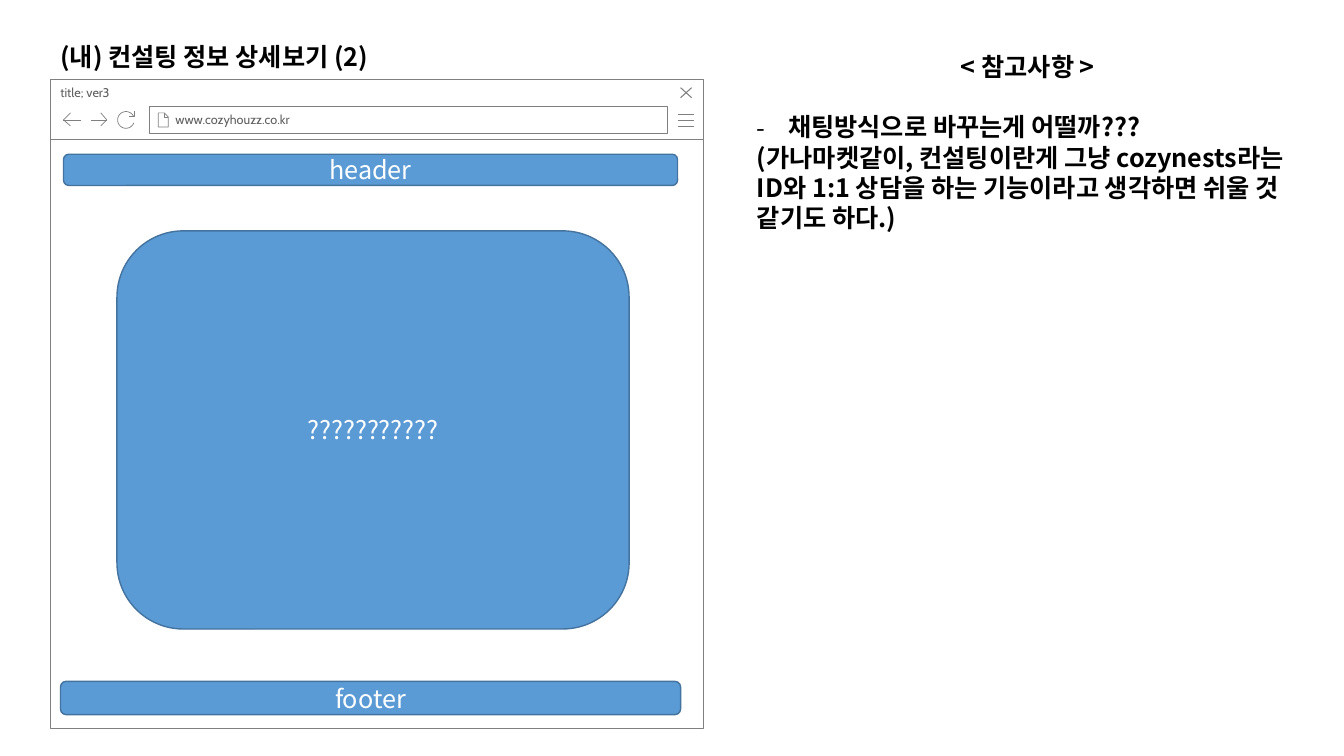
"""Build the consulting detail wireframe slide."""
from dataclasses import dataclass
from math import cos, radians, sin

from lxml.etree import SubElement
from pptx import Presentation
from pptx.dml.color import RGBColor
from pptx.enum.shapes import MSO_SHAPE as Shape
from pptx.enum.text import MSO_ANCHOR as Anchor, PP_ALIGN as Align
from pptx.oxml.ns import qn
from pptx.util import Inches, Pt

Point = tuple[float, float]
Box = tuple[float, float, float, float]


@dataclass(frozen=True)
class Theme:
    """Colours, fonts and type sizes of the slide."""
    ink: str = "000000"
    paper: str = "FFFFFF"
    outline: str = "808080"
    muted: str = "5F5F5F"
    block: str = "5B9BD5"
    block_edge: str = "43739E"
    body_font: str = "Noto Sans CJK KR"
    browser_font: str = "Cabin"
    body_size: float = 18
    browser_size: float = 9
    blank_line: float = 21.6


@dataclass(frozen=True)
class Pane:
    """A white rectangle of the browser window."""
    box: Box
    text: str = ""
    left_inset: float = 0.1
    anchor: Anchor = Anchor.TOP


@dataclass(frozen=True)
class Block:
    """A blue rounded area of the web page."""
    box: Box
    text: str


@dataclass(frozen=True)
class Icon:
    """A line icon made of open strokes."""
    strokes: list[list[Point]]
    weight: float = 0.5


@dataclass(frozen=True)
class Note:
    """A paragraph of bold text."""
    text: str
    align: Align = Align.LEFT
    space_before: float = 0
    bullet: str = ""


THEME = Theme()
ARC = [(1.25 + 0.083 * cos(radians(angle)), 1.19 + 0.083 * sin(radians(angle)))
       for angle in range(20, 333, 8)]

PANES = [
    Pane((0.5, 1.38, 6.48, 5.85)),
    Pane((0.5, 0.79, 6.48, 0.59), "title; ver3"),
    Pane((1.48, 1.06, 5.14, 0.26), "www.cozyhouzz.co.kr", 0.26, Anchor.MIDDLE),
]
MENU = Icon([[(6.72, y), (6.88, y)] for y in (1.13, 1.19, 1.25)])
CLOSE = Icon([[(6.86, 0.87), (6.75, 0.97)], [(6.75, 0.87), (6.86, 0.97)]], 0.75)
PAGE = Icon([[(1.63, 1.12), (1.63, 1.16), (1.67, 1.16)],
             [(1.57, 1.12), (1.57, 1.26), (1.67, 1.26), (1.67, 1.16),
              (1.63, 1.12), (1.57, 1.12)]])
BACK = Icon([[(0.7, 1.25), (0.63, 1.19), (0.7, 1.12)], [(0.63, 1.19), (0.8, 1.19)]])
FORWARD = Icon([[(1, 1.12), (1.06, 1.19), (1, 1.25)], [(1.06, 1.19), (0.9, 1.19)]])
RELOAD = Icon([[(1.33, 1.1), (1.33, 1.15), (1.28, 1.15)], [*ARC, (1.33, 1.15)]])
BLOCKS = [
    Block((0.63, 1.53, 6.09, 0.31), "header"),
    Block((0.6, 6.76, 6.15, 0.33), "footer"),
    Block((1.16, 2.29, 5.08, 3.95), "???????????"),
]
HEADING = [Note("(내) 컨설팅 정보 상세보기 (2)")]
REMARKS = [
    Note("< 참고사항 >", Align.CENTER),
    Note("채팅방식으로 바꾸는게 어떨까???", space_before=THEME.blank_line, bullet="-"),
    Note("(가나마켓같이, 컨설팅이란게 그냥 cozynests라는 ID와 1:1 상담을 하는 "
         "기능이라고 생각하면 쉬울 것 같기도 하다.)"),
]


def colour(value: str) -> RGBColor:
    """Turn a hex value into a colour."""
    return RGBColor.from_string(value)


def add_run(paragraph, text: str, font: str, size: float, ink: str, bold: bool = False) -> None:
    """Add one styled run to a paragraph."""
    run = paragraph.add_run()
    run.text = text
    run.font.size, run.font.bold, run.font.name = Pt(size), bold, font
    run.font.color.rgb = colour(ink)
    SubElement(run.font._element, qn("a:ea"), typeface=font)


def add_area(slide, kind: Shape, box: Box, fill: str, line: str, weight: float):
    """Add a filled and outlined preset shape."""
    shape = slide.shapes.add_shape(kind, *map(Inches, box))
    shape.shadow.inherit = False
    shape.fill.solid()
    shape.fill.fore_color.rgb = colour(fill)
    shape.line.color.rgb = colour(line)
    shape.line.width = Pt(weight)
    return shape


def add_pane(slide, pane: Pane) -> None:
    """Add a browser pane with its label."""
    shape = add_area(slide, Shape.RECTANGLE, pane.box, THEME.paper, THEME.outline, 0.5)
    if pane.text:
        frame = shape.text_frame
        frame.margin_left = Inches(pane.left_inset)
        frame.vertical_anchor = pane.anchor
        paragraph = frame.paragraphs[0]
        paragraph.alignment = Align.LEFT
        add_run(paragraph, pane.text, THEME.browser_font, THEME.browser_size, THEME.muted)


def add_block(slide, block: Block) -> None:
    """Add a page block with its centred label."""
    shape = add_area(slide, Shape.ROUNDED_RECTANGLE, block.box, THEME.block, THEME.block_edge, 1)
    shape.text_frame.vertical_anchor = Anchor.MIDDLE
    paragraph = shape.text_frame.paragraphs[0]
    paragraph.alignment = Align.CENTER
    add_run(paragraph, block.text, THEME.body_font, THEME.body_size, THEME.paper)


def add_icon(slide, icon: Icon) -> None:
    """Add a line icon as one freeform."""
    strokes = [[(Inches(x), Inches(y)) for x, y in stroke] for stroke in icon.strokes]
    builder = slide.shapes.build_freeform(*strokes[0][0])
    for index, stroke in enumerate(strokes):
        if index:
            builder.move_to(*stroke[0])
        builder.add_line_segments(stroke[1:], close=False)
    shape = builder.convert_to_shape()
    shape.shadow.inherit = False
    shape.fill.background()
    shape.line.color.rgb = colour(THEME.outline)
    shape.line.width = Pt(icon.weight)


def add_notes(slide, box: Box, notes: list[Note]) -> None:
    """Add a text box of bold paragraphs."""
    frame = slide.shapes.add_textbox(*map(Inches, box)).text_frame
    frame.word_wrap = True
    for index, note in enumerate(notes):
        paragraph = frame.add_paragraph() if index else frame.paragraphs[0]
        paragraph.alignment = note.align
        if note.bullet:
            properties = paragraph._p.get_or_add_pPr()
            properties.set("marL", str(Inches(0.31)))
            properties.set("indent", str(-Inches(0.31)))
            SubElement(properties, qn("a:buFont"), typeface=THEME.body_font)
            SubElement(properties, qn("a:buChar"), char=note.bullet)
        if note.space_before:
            paragraph.space_before = Pt(note.space_before)
        add_run(paragraph, note.text, THEME.body_font, THEME.body_size, THEME.ink, bold=True)


def main() -> None:
    """Draw the slide and save it."""
    presentation = Presentation()
    presentation.slide_width, presentation.slide_height = Inches(13.33), Inches(7.5)
    slide = presentation.slides.add_slide(presentation.slide_layouts[6])
    add_notes(slide, (0.5, 0.36, 5.23, 0.4), HEADING)
    for pane in PANES:
        add_pane(slide, pane)
    for icon in (MENU, CLOSE, PAGE, BACK, FORWARD, RELOAD):
        add_icon(slide, icon)
    for block in BLOCKS:
        add_block(slide, block)
    add_notes(slide, (7.41, 0.46, 5.57, 1.92), REMARKS)
    presentation.save("out.pptx")


if __name__ == "__main__":
    main()
